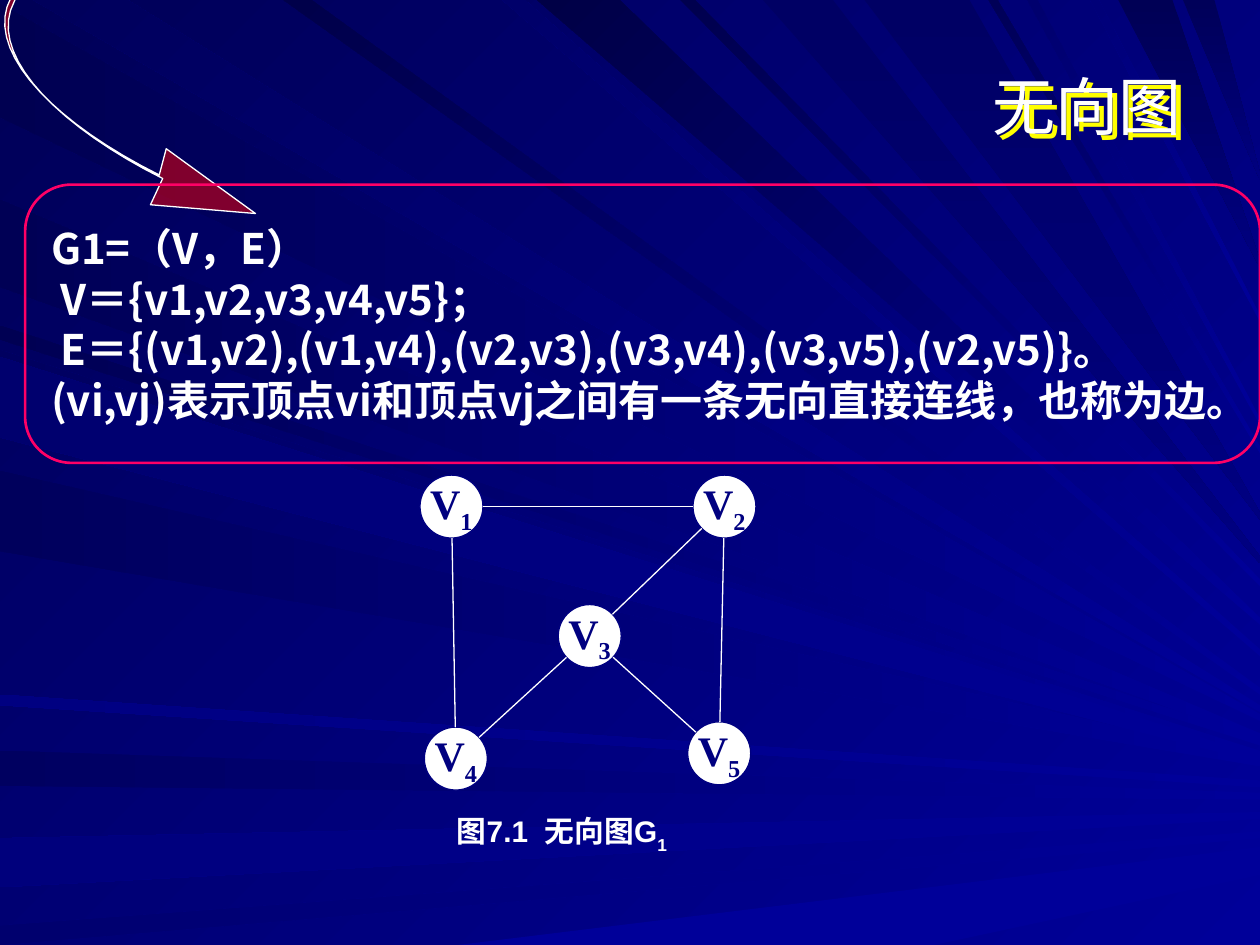
from math import dist

from lxml.etree import SubElement
from pptx import Presentation
from pptx.dml.color import RGBColor
from pptx.enum.shapes import MSO_CONNECTOR as CONN, MSO_SHAPE as SHAPE
from pptx.enum.text import MSO_ANCHOR as ANCHOR, PP_ALIGN as ALIGN
from pptx.oxml.ns import qn
from pptx.util import Pt

WHITE = RGBColor(255, 255, 255)
NAVY = RGBColor(0, 0, 128)
ROYAL = RGBColor(0, 0, 153)
MIDNIGHT = RGBColor(0, 0, 87)
YELLOW = RGBColor(255, 255, 0)
RED = RGBColor(255, 0, 0)
PINK = RGBColor(255, 0, 102)

WIDTH, HEIGHT = 720, 540
DIAMETER = 36
# Rays from the left edge: top and bottom there, height at the right edge, blue level
LEFT_RAYS = [
    (2, 67, 410, 81), (429, 449, 455, 96), (479, 507, 466, 124), (529, 540, 477, 110),
    (186, 194, 424, 83), (114, 164, 421, 85), (200, 246, 431, 96),
    (269, 315, 436, 92), (397, 403, 448, 129), (204, 250, 434, 110),
]
# Rays from the top edge: left and right there, height at the right edge, blue level
TOP_RAYS = [
    (19, 73, 405, 92), (287, 300, 373, 106), (307, 354, 355, 70), (389, 397, 333, 78),
    (162, 178, 395, 74), (565, 570, 257, 87), (587, 593, 241, 110), (623, 628, 182, 120),
]
DARK_RAYS = [(436, 476, 320, 100), (494, 554, 295, 100), (639, 670, 151, 85), (676, 694, 101, 89)]
DEFINITION = [
    "G1=（V，E）",
    " V＝{v1,v2,v3,v4,v5}；",
    " E＝{(v1,v2),(v1,v4),(v2,v3),(v3,v4),(v3,v5),(v2,v5)}。",
    "(vi,vj)表示顶点vi和顶点vj之间有一条无向直接连线，也称为边。",
]
VERTICES = {"1": (258, 289.5), "2": (414, 289.5), "3": (337, 363.5), "4": (260.5, 433.5), "5": (411, 430.5)}
EDGES = ["12", "14", "23", "34", "35", "25"]


def curve(p0, p1, p2, p3, steps=16):
    """Points along a cubic Bezier curve."""
    def at(t, i):
        u = 1 - t
        return u**3 * p0[i] + 3 * u * u * t * p1[i] + 3 * u * t * t * p2[i] + t**3 * p3[i]
    return [(at(n / steps, 0), at(n / steps, 1)) for n in range(steps + 1)]


def add_run(p, text, font="Arial", size=24, color=WHITE, bold=False, baseline=None):
    r = p.add_run()
    r.text = text
    r.font.name, r.font.size, r.font.bold = font, Pt(size), bold
    r.font.color.rgb = color
    rpr = r.font._element
    if baseline:
        rpr.set("baseline", str(baseline * 1000))
    SubElement(rpr, qn("a:ea")).set("typeface", "Noto Sans CJK SC")


def paint(fill, color, end=None, angle=135):
    """Fill plainly, or with a gradient when an end colour is given."""
    if end is None:
        fill.solid()
        fill.fore_color.rgb = color
        return
    fill.gradient()
    fill.gradient_angle = angle
    for stop, rgb in zip(fill.gradient_stops, (color, end)):
        stop.color.rgb = rgb


class GraphSlide:
    line_width = 0.75

    def __init__(self, slide):
        self.slide, self.shapes = slide, slide.shapes

    def outline(self, sp, color, width=line_width):
        sp.shadow.inherit = False
        sp.line.color.rgb = color
        sp.line.width = Pt(width)

    def polygon(self, points, *style):
        start, *rest = [(Pt(x), Pt(y)) for x, y in points]
        fb = self.shapes.build_freeform(*start)
        fb.add_line_segments(rest, close=True)
        sp = fb.convert_to_shape()
        sp.shadow.inherit = False
        sp.line.fill.background()
        paint(sp.fill, *style)
        return sp

    def ray(self, a, b, tip, *style):
        """Beam from a to b that narrows to the right edge."""
        self.polygon([a, b, (WIDTH, tip + 2), (WIDTH, tip - 2)], *style)

    def rays(self):
        for top, bottom, tip, level in LEFT_RAYS:
            self.ray((0, top), (0, bottom), tip, ROYAL, RGBColor(0, 0, level), 180)
        self.polygon([(262, HEIGHT), (534, HEIGHT), (WIDTH, 500), (WIDTH, 484)], ROYAL)
        for left, right, tip, level in TOP_RAYS:
            self.ray((right, 0), (left, 0), tip, ROYAL, RGBColor(0, 0, level))
        for left, right, tip, level in DARK_RAYS:
            self.ray((right, 0), (left, 0), tip, RGBColor(0, 0, level), NAVY, 270)

    def arrow(self):
        bend = (6, 6)
        arc = curve((187, -14), (98, -41), (17, -32), bend)
        arc += curve(bend, (-3, 35), (35, 73), (93, 102))
        head = [(86, 117), (146, 122), (95, 85)]
        sp = self.polygon(arc + head + [(x - 2, y - 2) for x, y in reversed(arc)], RED)
        self.outline(sp, WHITE)
        color = sp.fill._xPr.find(qn("a:solidFill"))[0]
        SubElement(color, qn("a:alpha")).set("val", "50000")

    def title(self, text):
        sp = self.shapes.title
        self.shapes._spTree.append(sp._element)
        sp.left, sp.top, sp.width, sp.height = Pt(57.5), Pt(15), Pt(625), Pt(90)
        tf = sp.text_frame
        tf.vertical_anchor = ANCHOR.MIDDLE
        p = tf.paragraphs[0]
        p.alignment = ALIGN.RIGHT
        add_run(p, text, size=36)
        effects = SubElement(sp._element.spPr, qn("a:effectLst"))
        shadow = SubElement(effects, qn("a:outerShdw"), dist=str(Pt(4)), dir="2700000", algn="ctr", rotWithShape="0")
        SubElement(shadow, qn("a:srgbClr")).set("val", str(YELLOW))

    def definition(self, lines):
        sp = self.shapes.add_shape(SHAPE.ROUNDED_RECTANGLE, Pt(14.4), Pt(105.5), Pt(705.6), Pt(159))
        sp.fill.background()
        self.outline(sp, PINK, 1.5)
        tf = sp.text_frame
        tf.word_wrap, tf.vertical_anchor = True, ANCHOR.MIDDLE
        for i, line in enumerate(lines):
            p = tf.add_paragraph() if i else tf.paragraphs[0]
            p.alignment = ALIGN.LEFT
            ppr = p._p.get_or_add_pPr()
            ppr.set("marL", str(Pt(27)))
            ppr.set("indent", str(-Pt(27)))
            add_run(p, line, font="Noto Sans CJK SC", bold=True)

    def caption(self, text, sub):
        tf = self.shapes.add_textbox(Pt(254), Pt(461), Pt(214), Pt(36)).text_frame
        tf.word_wrap = True
        style = dict(size=17, bold=True)
        add_run(tf.paragraphs[0], text, **style)
        add_run(tf.paragraphs[0], sub, baseline=-30, **style)

    def vertex(self, number, x, y):
        r, d = DIAMETER / 2, Pt(DIAMETER)
        sp = self.shapes.add_shape(SHAPE.OVAL, Pt(x - r), Pt(y - r), d, d)
        paint(sp.fill, WHITE)
        self.outline(sp, NAVY)
        tf = sp.text_frame
        tf.word_wrap, tf.vertical_anchor = False, ANCHOR.MIDDLE
        p = tf.paragraphs[0]
        p.alignment = ALIGN.CENTER
        style = dict(font="Times New Roman", color=NAVY, bold=True)
        add_run(p, "V", **style)
        add_run(p, number, baseline=-25, **style)

    def edge(self, a, b):
        """Line between two vertex centres, cut at both rims."""
        k = DIAMETER / 2 / dist(a, b)
        dx, dy = k * (b[0] - a[0]), k * (b[1] - a[1])
        ends = a[0] + dx, a[1] + dy, b[0] - dx, b[1] - dy
        c = self.shapes.add_connector(CONN.STRAIGHT, *map(Pt, ends))
        c.line.color.rgb = WHITE
        c.line.width = Pt(self.line_width)
        SubElement(c._element.spPr, qn("a:effectLst"))


def main():
    prs = Presentation()
    prs.slide_width, prs.slide_height = Pt(WIDTH), Pt(HEIGHT)
    s = GraphSlide(prs.slides.add_slide(prs.slide_layouts[5]))
    paint(s.slide.background.fill, ROYAL, MIDNIGHT)
    s.rays()
    s.arrow()
    s.title("无向图")
    s.definition(DEFINITION)
    s.caption("图7.1  无向图G", "1")
    for number, centre in VERTICES.items():
        s.vertex(number, *centre)
    for a, b in EDGES:
        s.edge(VERTICES[a], VERTICES[b])
    prs.save("out.pptx")


if __name__ == "__main__":
    main()
